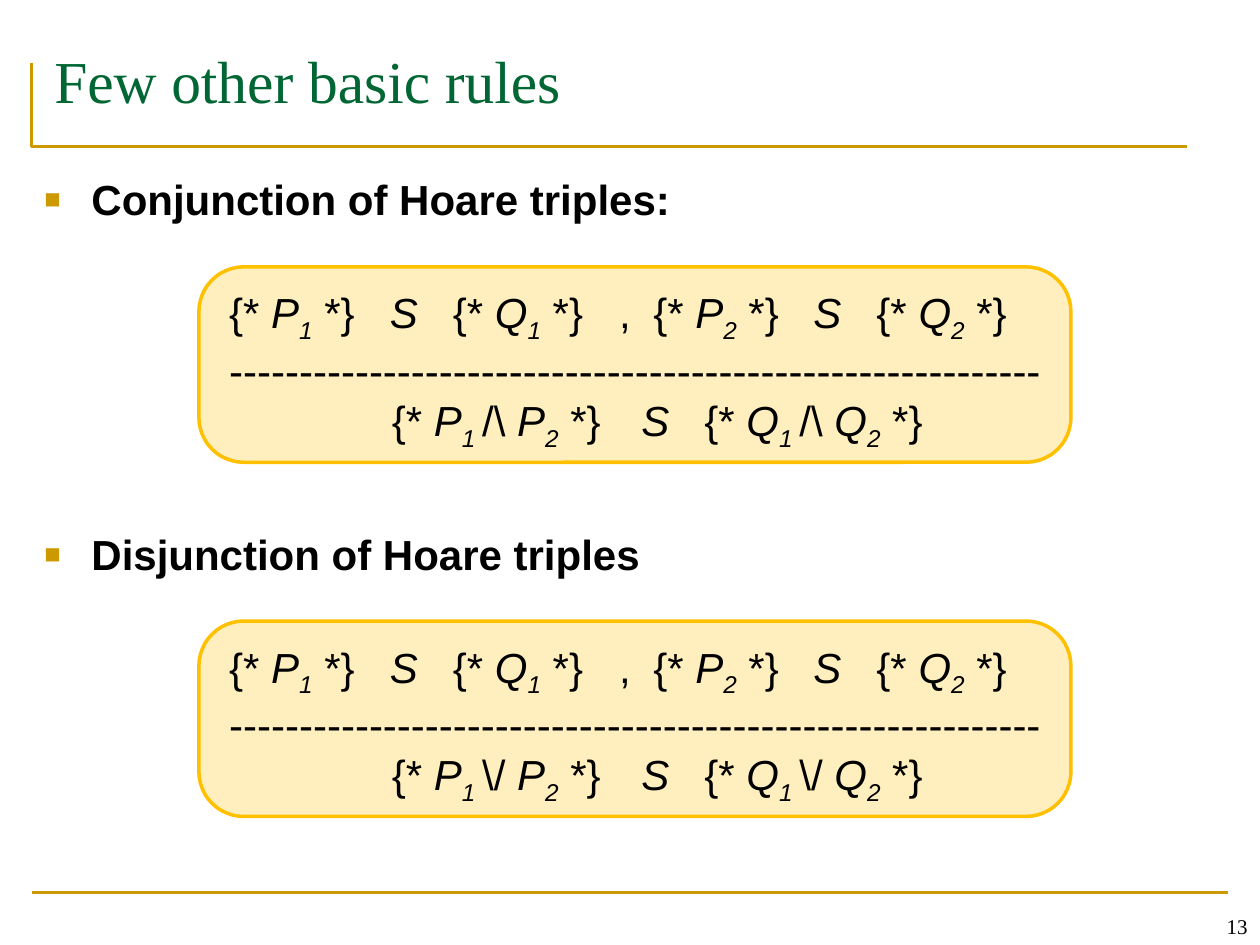
from lxml import etree
from pptx import Presentation
from pptx.dml.color import RGBColor
from pptx.enum.shapes import MSO_CONNECTOR, MSO_SHAPE
from pptx.enum.text import MSO_ANCHOR, MSO_AUTO_SIZE, PP_ALIGN
from pptx.oxml.ns import qn
from pptx.util import Cm, Pt

GOLD = RGBColor(0xCC, 0x99, 0x00)
AMBER = RGBColor(0xFF, 0xC0, 0x00)
GREEN = RGBColor(0x00, 0x66, 0x33)
BLACK = RGBColor(0x00, 0x00, 0x00)

TITLE = "Few other basic rules"
HEADINGS = ["Conjunction of Hoare triples:", "Disjunction of Hoare triples"]
OPERATORS = ["/\\", "\\/"]
PAGE_NUMBER = "13"

# Pieces are parted by "|"; single letters are italic, "_" marks a subscript.
PREMISES = "{* |P|_1| *}\t|S|\t{* |Q|_1| *}\t,\t{* |P|_2| *}\t|S|\t{* |Q|_2| *}"
RULE_LINE = "-" * 58
CONCLUSION = "\t{* |P|_1 |%s| P|_2| *}\t|S|\t{* |Q|_1 |%s| Q|_2| *}"

PREMISE_TABS = [3.24, 4.51, 7.86, 8.55, 11.78, 13.05]
CONCLUSION_TABS = [3.28, 8.31, 9.58]

BOX_LEFT, BOX_TOP, BOX_WIDTH, BOX_HEIGHT = 4.01, 5.38, 17.58, 3.94
BOX_STEP = 7.14
HEADING_GAP = 174


def add_element(parent, tag, **attributes):
    return etree.SubElement(parent, qn(tag), attributes)


def write(paragraph, text, font="Arial", size=24, color=BLACK, bold=False,
          align=PP_ALIGN.LEFT, before=0, tabs=(), bullet=None):
    """Write the marked-up pieces of text as runs of one paragraph."""
    properties = paragraph._p.get_or_add_pPr()
    if bullet:
        properties.set("marL", str(Cm(0.95)))
        properties.set("indent", str(-Cm(0.95)))
        bullet_color = add_element(properties, "a:buClr")
        add_element(bullet_color, "a:srgbClr", val=str(GOLD))
        add_element(properties, "a:buSzPct", val="65000")
        add_element(properties, "a:buFont", typeface="Arial")
        add_element(properties, "a:buChar", char=bullet)
    if tabs:
        tab_list = add_element(properties, "a:tabLst")
        for position in tabs:
            add_element(tab_list, "a:tab", pos=str(Cm(position)), algn="l")
    paragraph.alignment = align
    paragraph.space_before = Pt(before)
    for piece in text.split("|"):
        run = paragraph.add_run()
        run.text = piece.removeprefix("_")
        run.font.name, run.font.size = font, Pt(size)
        run.font.bold, run.font.color.rgb = bold, color
        subscript = piece.startswith("_")
        run.font.italic = subscript or piece.strip() in ("P", "Q", "S")
        if subscript:
            run.font._element.set("baseline", "-25000")


def place(shape, left, top, width, height, anchor=MSO_ANCHOR.TOP):
    """Move a text shape and return its wrapping text frame."""
    shape.left, shape.top = Cm(left), Cm(top)
    shape.width, shape.height = Cm(width), Cm(height)
    frame = shape.text_frame
    frame.word_wrap = True
    frame.auto_size = MSO_AUTO_SIZE.NONE
    frame.vertical_anchor = anchor
    return frame


def add_text_box(slide, *position, anchor=MSO_ANCHOR.TOP):
    return place(slide.shapes.add_textbox(0, 0, 0, 0), *position, anchor=anchor)


def add_frame_lines(slide):
    builder = slide.shapes.build_freeform(Cm(0.64), Cm(1.27))
    builder.add_line_segments([(Cm(0.64), Cm(2.96)), (Cm(23.92), Cm(2.96))], close=False)
    corner = builder.convert_to_shape()
    corner.shadow.inherit = False
    corner.fill.background()
    footer = slide.shapes.add_connector(
        MSO_CONNECTOR.STRAIGHT, Cm(0.64), Cm(17.99), Cm(24.76), Cm(17.99))
    for shape in (corner, footer):
        shape.line.color.rgb = GOLD
        shape.line.width = Pt(1.5)
    add_element(footer._element.spPr, "a:effectLst")


def add_rule(slide, top, operator):
    box = slide.shapes.add_shape(
        MSO_SHAPE.ROUNDED_RECTANGLE, Cm(BOX_LEFT), Cm(top), Cm(BOX_WIDTH), Cm(BOX_HEIGHT))
    box.adjustments[0] = 0.23
    box.shadow.inherit = False
    box.fill.solid()
    box.fill.fore_color.rgb = AMBER
    fill_color = box._element.spPr.find(qn("a:solidFill"))[0]
    add_element(fill_color, "a:alpha", val="25000")
    box.line.color.rgb = AMBER
    box.line.width = Pt(2)

    frame = add_text_box(slide, BOX_LEFT + 0.36, top + 0.28, 17.86, 3.33)
    write(frame.paragraphs[0], PREMISES, tabs=PREMISE_TABS)
    write(frame.add_paragraph(), RULE_LINE)
    write(frame.add_paragraph(), CONCLUSION % (operator, operator), tabs=CONCLUSION_TABS)


def main():
    presentation = Presentation()
    presentation.slide_width, presentation.slide_height = Cm(25.4), Cm(19.05)
    slide = presentation.slides.add_slide(presentation.slide_layouts[1])
    add_frame_lines(slide)

    title = place(slide.shapes.title, 0.84, 0.76, 23.7, 2.18)
    write(title.paragraphs[0], TITLE, font="Times New Roman", size=34, color=GREEN)

    body = place(slide.placeholders[1], 0.64, 3.38, 24.13, 14.4)
    for index, heading in enumerate(HEADINGS):
        paragraph = body.add_paragraph() if index else body.paragraphs[0]
        write(paragraph, heading, bold=True, bullet="■", before=HEADING_GAP * index)

    for index, operator in enumerate(OPERATORS):
        add_rule(slide, BOX_TOP + index * BOX_STEP, operator)

    number = add_text_box(slide, 19.48, 17.78, 5.92, 1.27, anchor=MSO_ANCHOR.BOTTOM)
    write(number.paragraphs[0], PAGE_NUMBER, font="Times New Roman", size=12,
          align=PP_ALIGN.RIGHT)

    presentation.save("out.pptx")


if __name__ == "__main__":
    main()
